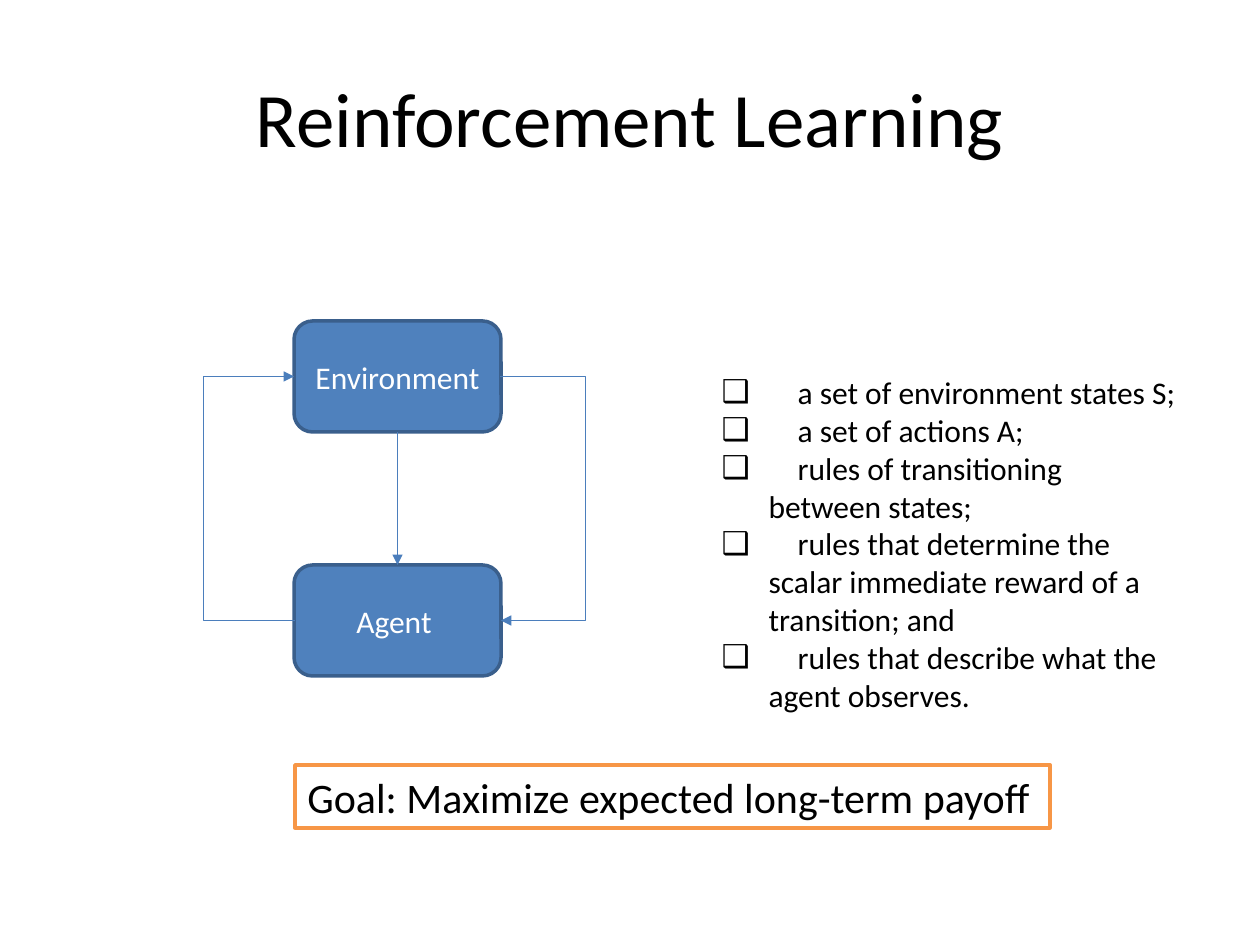
"""Build the Reinforcement Learning slide."""
from lxml.etree import SubElement
from pptx import Presentation
from pptx.dml.color import RGBColor
from pptx.enum.shapes import MSO_CONNECTOR as Link, MSO_SHAPE as Preset
from pptx.enum.text import MSO_ANCHOR as Anchor, MSO_AUTO_SIZE as Fit, PP_ALIGN as Align
from pptx.oxml.ns import qn
from pptx.util import Emu, Pt

SCALE = 914400 / 126
COLORS = {"ink": "000000", "paper": "FFFFFF", "node": "4F81BD",
          "edge": "3A5F8C", "arrow": "4B7EBC", "goal": "F79646"}
TOP, LEFT, BOTTOM, RIGHT = range(4)
RULES = [
    ["a set of environment states S;"],
    ["a set of actions A;"],
    ["rules of transitioning", "between states;"],
    ["rules that determine the scalar immediate reward of a transition; and"],
    ["rules that describe what the agent observes."],
]


def px(length):
    return Emu(round(length * SCALE))


class SlideBuilder:
    def __init__(self, deck, font):
        self.page = deck.slides.add_slide(deck.slide_layouts[1])
        self.font = font

    def color(self, name):
        return RGBColor.from_string(COLORS[name])

    def place(self, shape, left, top, width, height):
        shape.left, shape.top = px(left), px(top)
        shape.width, shape.height = px(width), px(height)

    def span(self, para, text, size, color="ink"):
        span = para.add_run()
        span.text = text
        span.font.name, span.font.size = self.font, Pt(size)
        span.font.color.rgb = self.color(color)

    def title(self, text, *bounds):
        box = self.page.shapes.title
        self.place(box, *bounds)
        box.text_frame.vertical_anchor = Anchor.MIDDLE
        para = box.text_frame.paragraphs[0]
        para.alignment = Align.CENTER
        self.span(para, text, 44)

    def checklist(self, items, size, indent, text_start, *bounds):
        box = self.page.placeholders[1]
        self.place(box, *bounds)
        frame = box.text_frame
        frame.auto_size, frame.word_wrap = Fit.NONE, True
        for index, lines in enumerate(items):
            para = frame.add_paragraph() if index else frame.paragraphs[0]
            para.space_before = Pt(0)
            props = para._p.get_or_add_pPr()
            props.set("marL", str(px(indent)))
            props.set("indent", str(-px(indent)))
            SubElement(props, qn("a:buFont"), typeface=self.font)
            SubElement(props, qn("a:buChar"), char="❑")
            stops = SubElement(props, qn("a:tabLst"))
            for stop in (text_start - indent, text_start):
                SubElement(stops, qn("a:tab"), pos=str(px(stop)), algn="l")
            self.span(para, "\t" + lines[0], size)
            for line in lines[1:]:
                para.add_line_break()
                self.span(para, line, size)

    def box(self, preset, text, size, fill, line, ink, align, *bounds):
        box = self.page.shapes.add_shape(preset, *map(px, bounds))
        box.shadow.inherit = False
        box.fill.solid()
        box.fill.fore_color.rgb = self.color(fill)
        box.line.color.rgb, box.line.width = self.color(line), Pt(2)
        box.text_frame.word_wrap = True
        box.text_frame.vertical_anchor = Anchor.MIDDLE
        para = box.text_frame.paragraphs[0]
        para.alignment = align
        self.span(para, text, size, ink)
        return box

    def node(self, text, *bounds):
        return self.box(Preset.ROUNDED_RECTANGLE, text, 18, "node", "edge",
                        "paper", Align.CENTER, *bounds)

    def arrow(self, start, start_side, end, end_side, kind=Link.STRAIGHT):
        arrow = self.page.shapes.add_connector(kind, 0, 0, 0, 0)
        arrow.begin_connect(start, start_side)
        arrow.end_connect(end, end_side)
        arrow.line.color.rgb, arrow.line.width = self.color("arrow"), Pt(0.75)
        SubElement(arrow.line._get_or_add_ln(), qn("a:tailEnd"), type="triangle")
        SubElement(arrow._element.spPr, qn("a:effectLst"))
        return arrow

    def elbow(self, start, end, side, reach):
        arrow = self.arrow(start, side, end, side, Link.ELBOW)
        step = px(1) if side == LEFT else -px(1)
        arrow.begin_x = arrow.end_x + step
        props = arrow._element.spPr
        if side == LEFT:
            frame = props.find(qn("a:xfrm"))
            frame.attrib.clear()
            frame.set("rot", "10800000")
        guides = props.find(qn("a:prstGeom")).get_or_add_avLst()
        SubElement(guides, qn("a:gd"), name="adj1", fmla=f"val {reach * 100000}")


def main():
    deck = Presentation()
    deck.slide_width, deck.slide_height = px(1260), px(945)
    slide = SlideBuilder(deck, "Calibri")
    slide.title("Reinforcement Learning", 63, 38, 1134, 158)
    environment = slide.node("Environment", 294, 321, 207, 111)
    agent = slide.node("Agent ", 294, 565, 207, 111)
    slide.elbow(agent, environment, LEFT, 92)
    slide.elbow(environment, agent, RIGHT, 86)
    slide.arrow(environment, BOTTOM, agent, TOP)
    slide.checklist(RULES, 18, 47, 76, 709, 367, 482, 356)
    slide.box(Preset.RECTANGLE, "Goal: Maximize expected long-term payoff", 24,
              "paper", "goal", "ink", Align.LEFT, 295, 765, 755, 63)
    deck.save("out.pptx")


if __name__ == "__main__":
    main()
